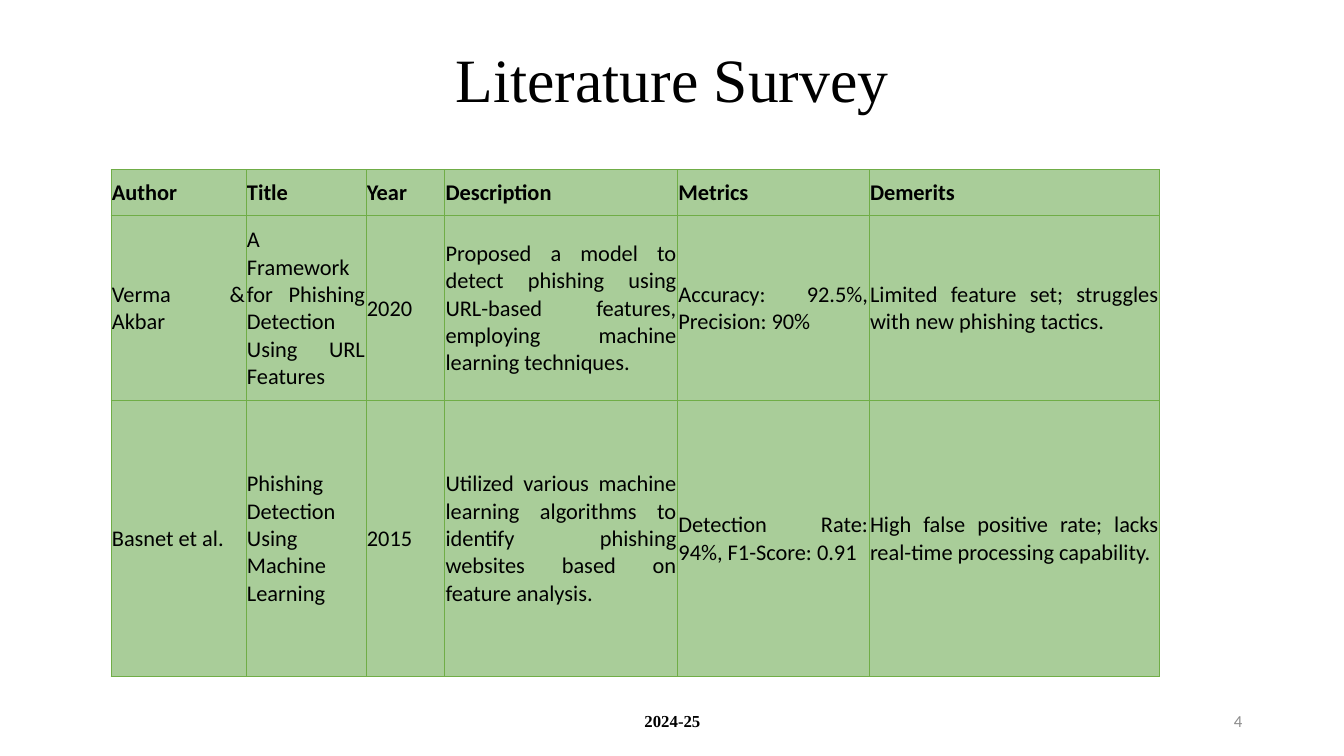
from lxml.etree import SubElement
from pptx import Presentation
from pptx.dml.color import RGBColor
from pptx.enum.text import MSO_ANCHOR, PP_ALIGN
from pptx.oxml.ns import qn
from pptx.util import Inches, Pt

BLACK = RGBColor(0x00, 0x00, 0x00)
GRAY = RGBColor(0x8C, 0x8C, 0x8C)
GREEN = RGBColor(0x70, 0xAD, 0x47)
LIGHT_GREEN = RGBColor(0xA9, 0xCD, 0x99)

SERIF, SANS = "Times New Roman", "Calibri"
COL_WIDTHS = [1.34, 1.19, 0.78, 2.31, 1.9, 2.88]
ROW_HEIGHTS = [0.46, 1.83, 2.74]
SURVEY = [
    ["Author", "Title", "Year", "Description", "Metrics", "Demerits"],
    ["Verma & Akbar",
     "A Framework for Phishing Detection Using URL Features",
     "2020",
     "Proposed a model to detect phishing using URL-based features, "
     "employing machine learning techniques.",
     "Accuracy: 92.5%, Precision: 90%",
     "Limited feature set; struggles with new phishing tactics."],
    ["Basnet et al.",
     "Phishing Detection Using Machine Learning",
     "2015",
     "Utilized various machine learning algorithms to identify phishing "
     "websites based on feature analysis.",
     "Detection Rate: 94%, F1-Score: 0.91",
     "High false positive rate; lacks real-time processing capability."],
]


def set_attrs(obj, values):
    for name, value in values.items():
        setattr(obj, name, value)


def write(tf, text, align, color=BLACK, **font):
    """Fill a text frame with one formatted paragraph."""
    p = tf.paragraphs[0]
    p.alignment = align
    r = p.add_run()
    r.text = text
    r.font.color.rgb = color
    set_attrs(r.font, font)
    return p


def add_title(s, text):
    sp = s.shapes.title
    set_attrs(sp, {"left": Inches(0.92), "top": Inches(0.4),
                   "width": Inches(11.5), "height": Inches(1.45)})
    tf = sp.text_frame
    set_attrs(tf, {"vertical_anchor": MSO_ANCHOR.TOP, "word_wrap": True,
                   "margin_top": Inches(0.09)})
    p = write(tf, text, PP_ALIGN.CENTER, name=SERIF, size=Pt(44))
    p.line_spacing = 0.9


def add_footer(s, left, width, text, align, **style):
    sp = s.shapes.add_textbox(Inches(left), Inches(6.95), Inches(width), Inches(0.4))
    tf = sp.text_frame
    set_attrs(tf, {"word_wrap": True, "vertical_anchor": MSO_ANCHOR.MIDDLE})
    write(tf, text, align, size=Pt(12), **style)


def add_borders(cell, color, width):
    tc_pr = cell._tc.get_or_add_tcPr()
    for i, side in enumerate(("lnL", "lnR", "lnT", "lnB")):
        ln = SubElement(tc_pr, qn(f"a:{side}"), w=str(width))
        fill = SubElement(ln, qn("a:solidFill"))
        SubElement(fill, qn("a:srgbClr"), val=str(color))
        tc_pr.insert(i, ln)


def add_survey_table(s):
    frame = s.shapes.add_table(
        len(SURVEY), len(COL_WIDTHS), Inches(1.1), Inches(1.68),
        Inches(sum(COL_WIDTHS)), Inches(sum(ROW_HEIGHTS)))
    table = frame.table
    table.horz_banding = False
    for col, width in zip(table.columns, COL_WIDTHS):
        col.width = Inches(width)
    for i, (row, height, texts) in enumerate(zip(table.rows, ROW_HEIGHTS, SURVEY)):
        row.height = Inches(height)
        for cell, text in zip(row.cells, texts):
            inset = Inches(0.01)
            set_attrs(cell, {"margin_left": inset, "margin_right": inset,
                             "margin_top": inset, "margin_bottom": 0,
                             "vertical_anchor": MSO_ANCHOR.MIDDLE})
            cell.fill.solid()
            cell.fill.fore_color.rgb = LIGHT_GREEN
            add_borders(cell, GREEN, Pt(0.5))
            write(cell.text_frame, text, PP_ALIGN.JUSTIFY,
                  name=SANS, size=Pt(16), bold=i == 0)


def main():
    prs = Presentation()
    set_attrs(prs, {"slide_width": Inches(13.33), "slide_height": Inches(7.5)})
    s = prs.slides.add_slide(prs.slide_layouts[5])
    add_title(s, "Literature Survey")
    add_footer(s, 4.42, 4.5, "2024-25", PP_ALIGN.CENTER, name=SERIF, bold=True)
    add_footer(s, 9.42, 3, "4", PP_ALIGN.RIGHT, color=GRAY, name=SANS)
    add_survey_table(s)
    prs.save("out.pptx")


if __name__ == "__main__":
    main()
